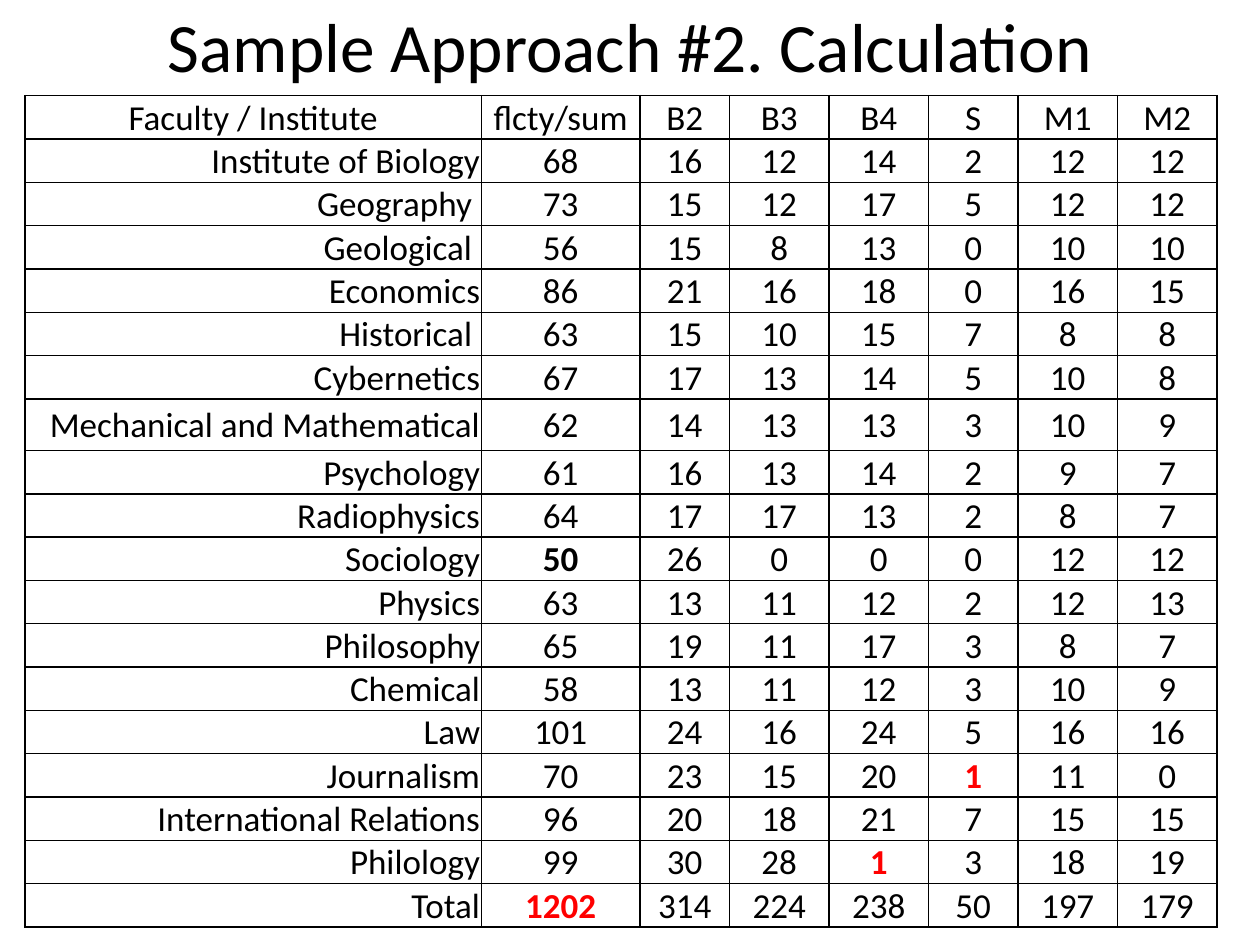
from dataclasses import dataclass

from lxml import etree
from pptx import Presentation
from pptx import util as u
from pptx.dml.color import RGBColor
from pptx.enum import text
from pptx.oxml import ns


@dataclass(frozen=True)
class Theme:
    font: str = "Calibri"
    ink: str = "000000"
    alert: str = "FF0000"
    title_size: float = 39.6
    table_size: float = 20
    border_width: float = 1


@dataclass(frozen=True)
class Faculty:
    name: str
    counts: tuple[int, ...]


@dataclass(frozen=True)
class Emphasis:
    color: str
    bold: bool = True


THEME = Theme()
PLAIN = Emphasis(THEME.ink, bold=False)

HEADINGS = ("Faculty / Institute", "flcty/sum", "B2", "B3", "B4", "S", "M1", "M2")
FACULTIES = (
    Faculty("Institute of Biology", (68, 16, 12, 14, 2, 12, 12)),
    Faculty("Geography ", (73, 15, 12, 17, 5, 12, 12)),
    Faculty("Geological ", (56, 15, 8, 13, 0, 10, 10)),
    Faculty("Economics", (86, 21, 16, 18, 0, 16, 15)),
    Faculty("Historical ", (63, 15, 10, 15, 7, 8, 8)),
    Faculty("Cybernetics", (67, 17, 13, 14, 5, 10, 8)),
    Faculty("Mechanical and Mathematical", (62, 14, 13, 13, 3, 10, 9)),
    Faculty("Psychology", (61, 16, 13, 14, 2, 9, 7)),
    Faculty("Radiophysics", (64, 17, 17, 13, 2, 8, 7)),
    Faculty("Sociology", (50, 26, 0, 0, 0, 12, 12)),
    Faculty("Physics", (63, 13, 11, 12, 2, 12, 13)),
    Faculty("Philosophy", (65, 19, 11, 17, 3, 8, 7)),
    Faculty("Chemical", (58, 13, 11, 12, 3, 10, 9)),
    Faculty("Law", (101, 24, 16, 24, 5, 16, 16)),
    Faculty("Journalism", (70, 23, 15, 20, 1, 11, 0)),
    Faculty("International Relations", (96, 20, 18, 21, 7, 15, 15)),
    Faculty("Philology", (99, 30, 28, 1, 3, 18, 19)),
    Faculty("Total", (1202, 314, 224, 238, 50, 197, 179)),
)
EMPHASES = {
    ("Sociology", "flcty/sum"): Emphasis(THEME.ink),
    ("Journalism", "S"): Emphasis(THEME.alert),
    ("Philology", "B4"): Emphasis(THEME.alert),
    ("Total", "flcty/sum"): Emphasis(THEME.alert),
}
COLUMN_WIDTHS = (3.62, 1.26, 0.71, 0.79, 0.79, 0.71, 0.79, 0.79)
ROW_HEIGHT = 0.33
TALL_ROWS = {"Mechanical and Mathematical": 0.41}


def write(frame, words: str, size: float, align, emphasis: Emphasis = PLAIN) -> None:
    frame.text = words
    paragraph = frame.paragraphs[0]
    paragraph.alignment = align
    font = paragraph.runs[0].font
    font.name = THEME.font
    font.size = u.Pt(size)
    font.bold = emphasis.bold
    font.color.rgb = RGBColor.from_string(emphasis.color)


def add_borders(cell) -> None:
    properties = cell._tc.get_or_add_tcPr()
    for side in ("a:lnL", "a:lnR", "a:lnT", "a:lnB"):
        line = etree.SubElement(properties, ns.qn(side), w=str(u.Pt(THEME.border_width)))
        fill = etree.SubElement(line, ns.qn("a:solidFill"))
        etree.SubElement(fill, ns.qn("a:srgbClr"), val=THEME.ink)


def fill_cell(cell, words: str, align, emphasis: Emphasis) -> None:
    cell.margin_left = cell.margin_right = cell.margin_top = u.Inches(0.01)
    cell.margin_bottom = 0
    cell.vertical_anchor = text.MSO_ANCHOR.MIDDLE
    write(cell.text_frame, words, THEME.table_size, align, emphasis)
    add_borders(cell)
    cell.fill.background()


def add_title(slide, words: str) -> None:
    title = slide.shapes.add_textbox(
        u.Inches(0.5), u.Inches(0.05), u.Inches(9), u.Inches(0.61))
    title.text_frame.word_wrap = True
    title.text_frame.vertical_anchor = text.MSO_ANCHOR.MIDDLE
    write(title.text_frame, words, THEME.title_size, text.PP_ALIGN.CENTER)


def add_faculty_table(slide) -> None:
    rows = [HEADINGS] + [(f.name, *map(str, f.counts)) for f in FACULTIES]
    heights = [TALL_ROWS.get(row[0], ROW_HEIGHT) for row in rows]
    table = slide.shapes.add_table(
        len(rows), len(HEADINGS), u.Inches(0.2), u.Inches(0.76),
        u.Inches(sum(COLUMN_WIDTHS)), u.Inches(sum(heights))).table
    table.first_row = table.horz_banding = False
    for column, width in zip(table.columns, COLUMN_WIDTHS):
        column.width = u.Inches(width)
    for r, (row, height) in enumerate(zip(rows, heights)):
        table.rows[r].height = u.Inches(height)
        for c, (words, heading) in enumerate(zip(row, HEADINGS)):
            is_name = r > 0 and c == 0
            align = text.PP_ALIGN.RIGHT if is_name else text.PP_ALIGN.CENTER
            emphasis = EMPHASES.get((row[0], heading), PLAIN)
            fill_cell(table.cell(r, c), words, align, emphasis)


def main() -> None:
    deck = Presentation()
    deck.slide_width, deck.slide_height = u.Inches(10), u.Inches(7.5)
    slide = deck.slides.add_slide(deck.slide_layouts[6])
    add_title(slide, "Sample Approach #2. Calculation")
    add_faculty_table(slide)
    deck.save("out.pptx")


if __name__ == "__main__":
    main()
